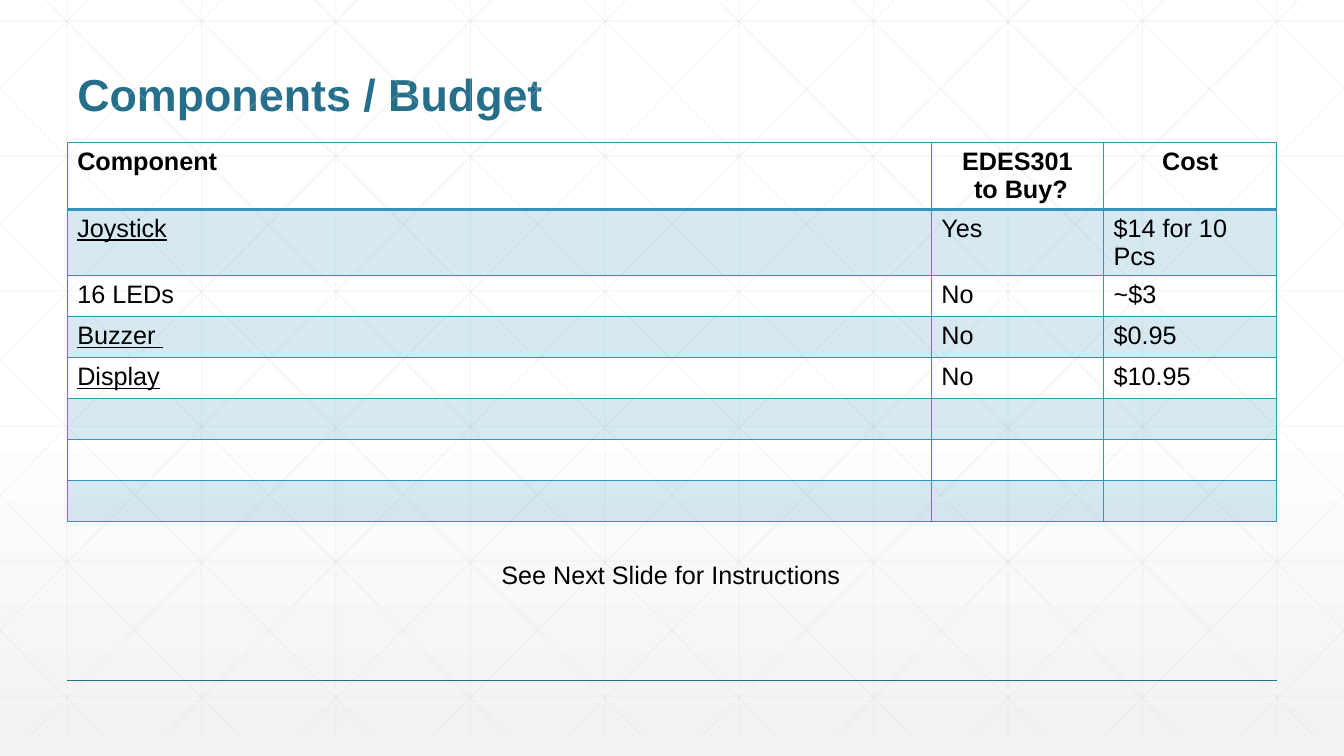
from lxml.etree import SubElement
from pptx import Presentation
from pptx.dml.color import RGBColor
from pptx.enum.shapes import MSO_CONNECTOR
from pptx.enum.text import MSO_ANCHOR, MSO_AUTO_SIZE, PP_ALIGN
from pptx.oxml.ns import qn
from pptx.util import Emu, Pt

SLIDE_WIDTH, SLIDE_HEIGHT = 1280, 720
GRID_TOP, GRID_BOTTOM = -20, 700
GRID_STEP, DIAGONAL_RUN = 128, 715
TEAL, DARK_TEAL, GREY = "3494BA", "266F8B", "D8D8D8"
COLUMN_WIDTHS = (823, 164, 165)
ROW_HEIGHT = 39
HEADER = ("Component", "EDES301\n to Buy?", "Cost")
COMPONENTS = (
    ("Joystick", "Yes", "$14 for 10 Pcs"),
    ("16 LEDs", "No", "~$3"),
    ("Buzzer ", "No", "$0.95"),
    ("Display", "No", "$10.95"),
    ("", "", ""),
    ("", "", ""),
    ("", "", ""),
)
LINKED = ("Joystick", "Buzzer ", "Display")


def px(length):
    return Emu(round(length * 9525))


def color(value):
    return RGBColor.from_string(value)


def set_alpha(element, percent):
    tint = element.find(".//" + qn("a:srgbClr"))
    SubElement(tint, qn("a:alpha"), val=str(percent * 1000))


def write(frame, text, size=18, ink="000000", bold=False, underline=False,
          align=PP_ALIGN.LEFT, spacing=1.0):
    for index, line in enumerate(text.split("\n")):
        para = frame.add_paragraph() if index else frame.paragraphs[0]
        para.alignment = align
        para.line_spacing = spacing
        span = para.add_run()
        span.text = line
        span.font.name = "Arial"
        span.font.size = Pt(size)
        span.font.bold = bold
        span.font.underline = underline
        span.font.color.rgb = color(ink)


def add_line(page, start, end, ink, width, alpha=100):
    line = page.shapes.add_connector(
        MSO_CONNECTOR.STRAIGHT, *map(px, start), *map(px, end))
    line.line.color.rgb = color(ink)
    line.line.width = Pt(width)
    properties = line._element.spPr
    SubElement(properties, qn("a:effectLst"))
    if alpha < 100:
        set_alpha(properties, alpha)


def add_grid_line(page, start, end):
    add_line(page, start, end, GREY, 0.75, alpha=25)


def clipped_diagonal(top_x):
    slope = (GRID_BOTTOM - GRID_TOP) / DIAGONAL_RUN
    left = max(0, top_x - GRID_TOP / slope)
    right = min(SLIDE_WIDTH, top_x + DIAGONAL_RUN)
    return [(x, GRID_TOP + (x - top_x) * slope) for x in (left, right)]


def add_background(page):
    fill = page.background.fill
    fill.gradient()
    fill.gradient_angle = 270
    for stop, position, value in zip(
            fill.gradient_stops, (0.53, 1), ("FFFFFF", "F2F2F2")):
        stop.position = position
        stop.color.rgb = color(value)
    for column in range(10):
        x = 64 + column * GRID_STEP
        add_grid_line(page, (x, 0), (x, GRID_BOTTOM))
    for row in range(6):
        y = 20 + row * 128.6
        add_grid_line(page, (0, y), (SLIDE_WIDTH, y))
    for index in range(-5, 10):
        diagonal = clipped_diagonal(24 + index * GRID_STEP)
        add_grid_line(page, *diagonal)
        add_grid_line(page, *[(SLIDE_WIDTH - x, y) for x, y in diagonal])
    add_line(page, (64, 648), (1216, 648), DARK_TEAL, 1)


def add_title(page, text):
    title = page.shapes.title
    title.left, title.top = px(64), px(24)
    title.width, title.height = px(1152), px(96)
    frame = title.text_frame
    frame.auto_size = MSO_AUTO_SIZE.NONE
    frame.vertical_anchor = MSO_ANCHOR.BOTTOM
    write(frame, text, size=32, ink=DARK_TEAL, bold=True, spacing=0.9)


def set_borders(cell, top, bottom):
    properties = cell._tc.get_or_add_tcPr()
    for side, width in (("L", 1), ("R", 1), ("T", top), ("B", bottom)):
        border = SubElement(properties, qn("a:ln" + side), w=str(Pt(width)))
        fill = SubElement(border, qn("a:solidFill"))
        SubElement(fill, qn("a:srgbClr"), val=TEAL)


def format_cell(cell, row, text):
    set_borders(cell, 2 if row == 1 else 1, 2 if row == 0 else 1)
    if row % 2:
        cell.fill.solid()
        cell.fill.fore_color.rgb = color(TEAL)
        set_alpha(cell._tc.tcPr.find(qn("a:solidFill")), 20)
    else:
        cell.fill.background()
    if text:
        write(cell.text_frame, text, bold=row == 0, underline=text in LINKED,
              align=PP_ALIGN.CENTER if row == 0 and text != HEADER[0]
              else PP_ALIGN.LEFT)


def add_budget_table(page):
    rows = (HEADER, *COMPONENTS)
    table = page.shapes.add_table(
        len(rows), len(HEADER), px(64), px(136),
        px(sum(COLUMN_WIDTHS)), px(ROW_HEIGHT * len(rows))).table
    table.first_row = table.horz_banding = False
    for column, width in zip(table.columns, COLUMN_WIDTHS):
        column.width = px(width)
    for row, texts in enumerate(rows):
        table.rows[row].height = px(ROW_HEIGHT)
        for column, text in enumerate(texts):
            format_cell(table.cell(row, column), row, text)


def add_note(page, text):
    box = page.shapes.add_textbox(px(468), px(528), px(346), px(39))
    box.text_frame.word_wrap = True
    write(box.text_frame, text)


def main():
    deck = Presentation()
    deck.slide_width, deck.slide_height = px(SLIDE_WIDTH), px(SLIDE_HEIGHT)
    page = deck.slides.add_slide(deck.slide_layouts[5])
    add_background(page)
    add_title(page, "Components / Budget")
    add_budget_table(page)
    add_note(page, "See Next Slide for Instructions")
    deck.save("out.pptx")


if __name__ == "__main__":
    main()
